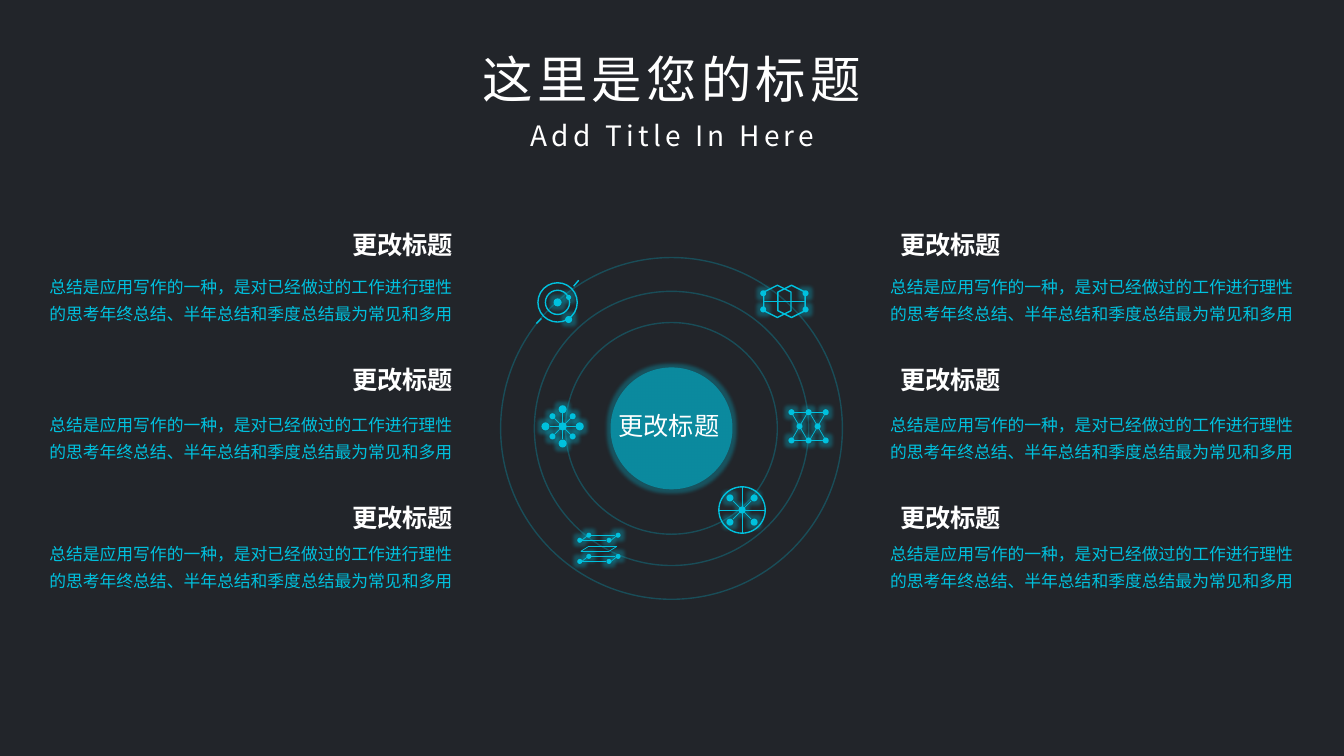
"""Build a dark slide with six captions around an orbit of network icons."""
from dataclasses import dataclass
from itertools import product
from typing import Any, Optional

from lxml.etree import SubElement as Sub
from pptx import Presentation
from pptx.dml.color import RGBColor as Color
from pptx.enum.shapes import MSO_CONNECTOR as Link, MSO_SHAPE as Kind
from pptx.enum.text import MSO_ANCHOR as Anchor, MSO_AUTO_SIZE as Auto, PP_ALIGN as Align
from pptx.oxml.ns import qn
from pptx.util import Inches, Pt


@dataclass(frozen=True)
class Theme:
    back: str = "22252A"
    white: str = "FFFFFF"
    cyan: str = "00C1DE"
    font: str = "Noto Sans CJK SC"
    title: int = 36
    sub: int = 20
    head: int = 18
    body: int = 12
    thin: float = 0.5
    line: float = 1
    fade: int = 25
    core: int = 50
    glow: int = 30


@dataclass(frozen=True)
class Dot:
    x: float
    y: float
    size: float


@dataclass(frozen=True)
class Edge:
    x1: float
    y1: float
    x2: float
    y2: float


@dataclass(frozen=True)
class Icon:
    x: float
    y: float
    dots: list[Dot]
    edges: list[Edge]
    rings: tuple[float, ...] = ()
    cells: tuple[float, ...] = ()
    width: float = 0.5


THEME = Theme()
SIGNS = (-1, 1)
HEAD = "更改标题"
BODY = "总结是应用写作的一种，是对已经做过的工作进行理性的思考年终总结、半年总结和季度总结最为常见和多用"
ROWS = ((2.23, 2.64), (3.57, 4.01), (4.93, 5.29))
SIDES = ((3.01, 0.39, Align.RIGHT), (8.83, 8.73, Align.LEFT))
HUB = (6.66, 4.25)


def corners(x: float, y: float, size: float) -> list[Dot]:
    """Return four dots mirrored about both axes."""
    return [Dot(a * x, b * y, size) for a, b in product(SIGNS, SIGNS)]


def spokes(axis: float, slant: float) -> list[Edge]:
    """Return four edges that cross at the centre."""
    return [Edge(-axis, 0, axis, 0), Edge(0, -axis, 0, axis),
            Edge(-slant, -slant, slant, slant), Edge(slant, -slant, -slant, slant)]


def layers() -> Icon:
    """Return three stacked sheets, the outer two with dots."""
    dots, edges = [], [Edge(-0.1, -0.02, 0.18, -0.02), Edge(-0.18, 0.03, 0.1, 0.03),
                       Edge(-0.1, -0.02, -0.18, 0.03), Edge(0.18, -0.02, 0.1, 0.03)]
    for top in (-0.13, 0.08):
        low = top + 0.05
        dots += [Dot(x, y, 0.05) for x, y in ((-0.1, top), (0.19, top), (-0.19, low), (0.1, low))]
        edges += [Edge(-0.08, top, 0.16, top), Edge(-0.17, low, 0.07, low)]
        edges += [Edge(x, top + 0.01, x - 0.05, low) for x in (-0.12, 0.17)]
    return Icon(5.94, 5.44, dots, edges)


def weave() -> Icon:
    """Return a mesh of two crossed cells."""
    dots = corners(0.17, 0.14, 0.06)
    dots += [Dot(0, s * 0.14, 0.06) for s in SIGNS] + [Dot(s * 0.09, 0, 0.06) for s in SIGNS]
    edges = [Edge(-0.14, s * 0.14, 0.14, s * 0.14) for s in SIGNS]
    for s in SIGNS:
        edges += [Edge(s * 0.02, -0.12, s * 0.16, 0.12), Edge(s * 0.16, -0.12, s * 0.02, 0.12)]
    return Icon(8.02, 4.23, dots, edges)


def burst() -> Icon:
    """Return a star of nine dots."""
    dots = [Dot(0, 0, 0.08)] + corners(0.1, 0.1, 0.06)
    for s in SIGNS:
        dots += [Dot(s * 0.17, 0, 0.08), Dot(0, s * 0.17, 0.08)]
    return Icon(5.58, 4.23, dots, spokes(0.13, 0.08))


ICONS = (
    layers(),
    Icon(5.53, 3, [Dot(0, 0, 0.08), Dot(0.11, -0.05, 0.05), Dot(0.11, 0.17, 0.07)],
         [Edge(0.21, -0.22, 0.16, -0.16), Edge(-0.16, 0.16, -0.21, 0.21)],
         rings=(0.24, 0.39), width=THEME.line),
    weave(),
    Icon(7.36, 5.06, [Dot(0, 0, 0.07)] + corners(0.12, 0.12, 0.07), spokes(0.23, 0.09), rings=(0.46,)),
    Icon(7.78, 2.99, corners(0.21, 0.08, 0.06), [Edge(-0.2, 0, 0.21, 0)], cells=(-0.07, 0.07)),
    burst(),
)


def fade(shape: Any, alpha: int) -> None:
    """Set the opacity of the colour in percent."""
    tint = next(shape.element.iter(qn("a:srgbClr")))
    Sub(tint, qn("a:alpha"), val=str(alpha * 1000))


def shine(shape: Any, size: float) -> None:
    """Add a soft glow of the given size in points."""
    glow = Sub(next(shape.element.iter(qn("a:effectLst"))), qn("a:glow"), rad=str(Pt(size)))
    tint = Sub(glow, qn("a:srgbClr"), val=THEME.cyan)
    Sub(tint, qn("a:alpha"), val=str(THEME.glow * 1000))


def form(slide: Any, x: float, y: float, wide: float, high: float,
         kind: Kind = Kind.OVAL, solid: bool = False) -> Any:
    """Draw a filled or outlined shape about its centre."""
    shape = slide.shapes.add_shape(kind, Inches(x - wide / 2), Inches(y - high / 2),
                                   Inches(wide), Inches(high))
    shape.shadow.inherit = False
    if solid:
        shape.fill.solid()
        shape.fill.fore_color.rgb = Color.from_string(THEME.cyan)
        shape.line.fill.background()
    else:
        shape.fill.background()
        shape.line.color.rgb = Color.from_string(THEME.cyan)
        shape.line.width = Pt(THEME.line)
    return shape


def draw(slide: Any, icon: Icon) -> None:
    """Draw one icon about its centre."""
    for e in icon.edges:
        line = slide.shapes.add_connector(Link.STRAIGHT, Inches(icon.x + e.x1), Inches(icon.y + e.y1),
                                          Inches(icon.x + e.x2), Inches(icon.y + e.y2))
        line.line.color.rgb = Color.from_string(THEME.cyan)
        line.line.width = Pt(icon.width)
        Sub(line.element.spPr, qn("a:effectLst"))
    for dot in icon.dots:
        shine(form(slide, icon.x + dot.x, icon.y + dot.y, dot.size, dot.size, solid=True), 5)
    for size in icon.rings:
        form(slide, icon.x, icon.y, size, size)
    for shift in icon.cells:
        form(slide, icon.x + shift, icon.y, 0.32, 0.27, Kind.HEXAGON).rotation = 90


def write(slide: Any, text: str, x: float, y: float, wide: float, high: float, *, size: int,
          color: str = THEME.white, align: Align = Align.CENTER, bold: bool = False,
          space: float = 1, track: int = 0, box: Optional[Any] = None) -> None:
    """Write text in a placeholder or a new text box."""
    if box is None:
        box = slide.shapes.add_textbox(0, 0, 0, 0)
    box.left, box.top, box.width, box.height = map(Inches, (x, y, wide, high))
    frame = box.text_frame
    frame.text = text
    frame.word_wrap = True
    frame.auto_size = Auto.SHAPE_TO_FIT_TEXT
    frame.vertical_anchor = Anchor.TOP
    para = frame.paragraphs[0]
    para.alignment, para.line_spacing, para.space_before = align, space, Pt(0)
    run = para.runs[0]
    font = run.font
    font.name, font.size, font.bold = THEME.font, Pt(size), bold
    font.color.rgb = Color.from_string(color)
    props = run._r.get_or_add_rPr()
    Sub(props, qn("a:ea"), typeface=THEME.font)
    if track:
        props.set("spc", str(track * 100))


def main() -> None:
    """Build and save the slide."""
    deck = Presentation()
    deck.slide_width, deck.slide_height = Inches(13.33), Inches(7.5)
    slide = deck.slides.add_slide(deck.slide_layouts[0])
    slide.background.fill.solid()
    slide.background.fill.fore_color.rgb = Color.from_string(THEME.back)
    title, sub = slide.placeholders
    write(slide, "这里是您的标题", 3.76, 0.43, 5.81, 0.71, size=THEME.title, track=3, box=title)
    write(slide, "Add Title In Here", 4.82, 1.13, 3.7, 0.44, size=THEME.sub, track=3, box=sub)
    core = form(slide, *HUB, 1.21, 1.21, solid=True)
    fade(core, THEME.core)
    shine(core, 5)
    for size in (2.72, 2.1, 3.39):
        fade(form(slide, *HUB, size, size), THEME.fade)
    for icon in ICONS:
        draw(slide, icon)
    write(slide, HEAD, 6, 4.02, 1.27, 0.4, size=THEME.head)
    for (left, edge, align), (top, low) in product(SIDES, ROWS):
        write(slide, BODY, edge, low, 4.21, 0.6, size=THEME.body, color=THEME.cyan,
              align=Align.LEFT, space=1.3)
        write(slide, HEAD, left, top, 1.58, 0.4, size=THEME.head, align=align, bold=True)
    deck.save("out.pptx")


if __name__ == "__main__":
    main()
